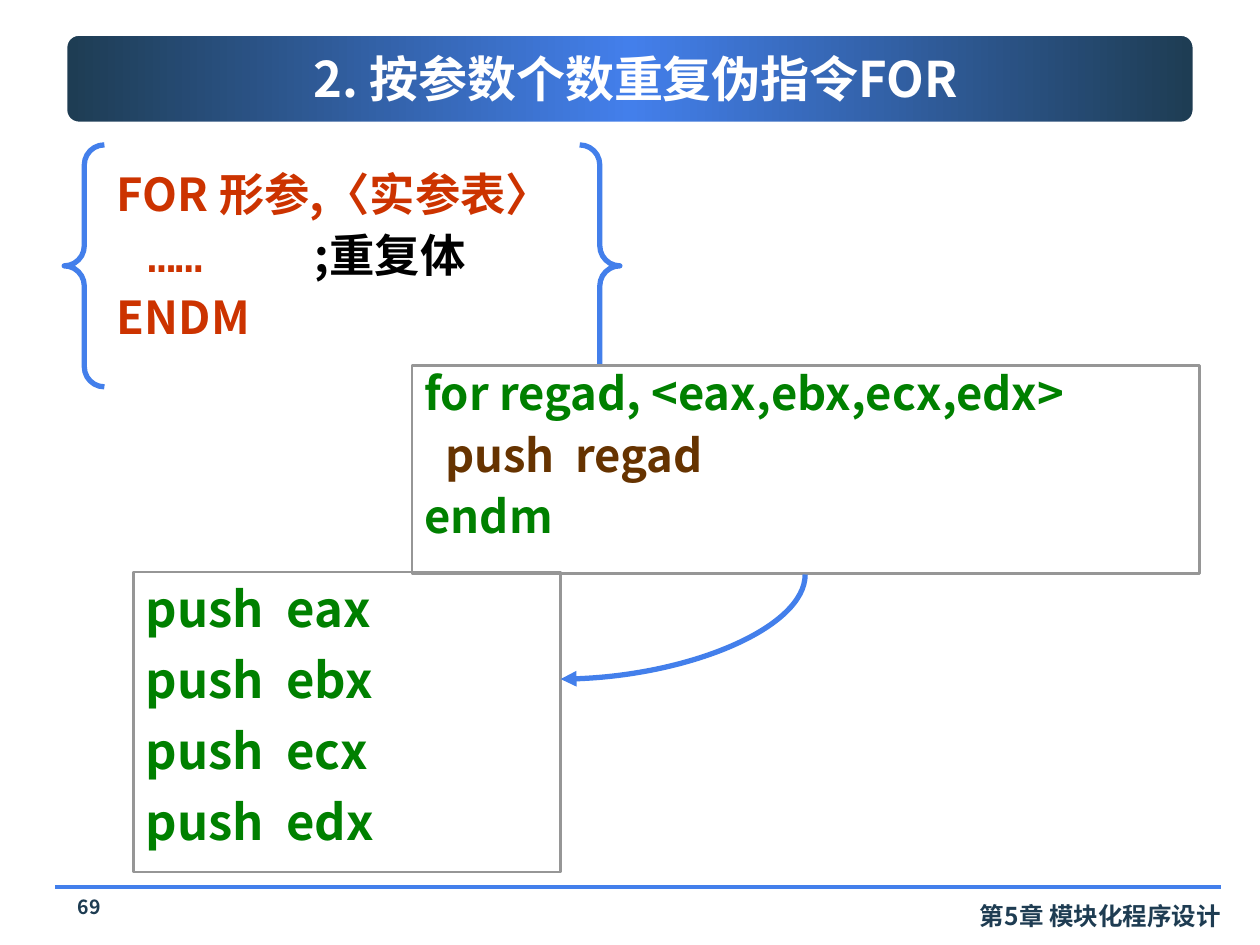
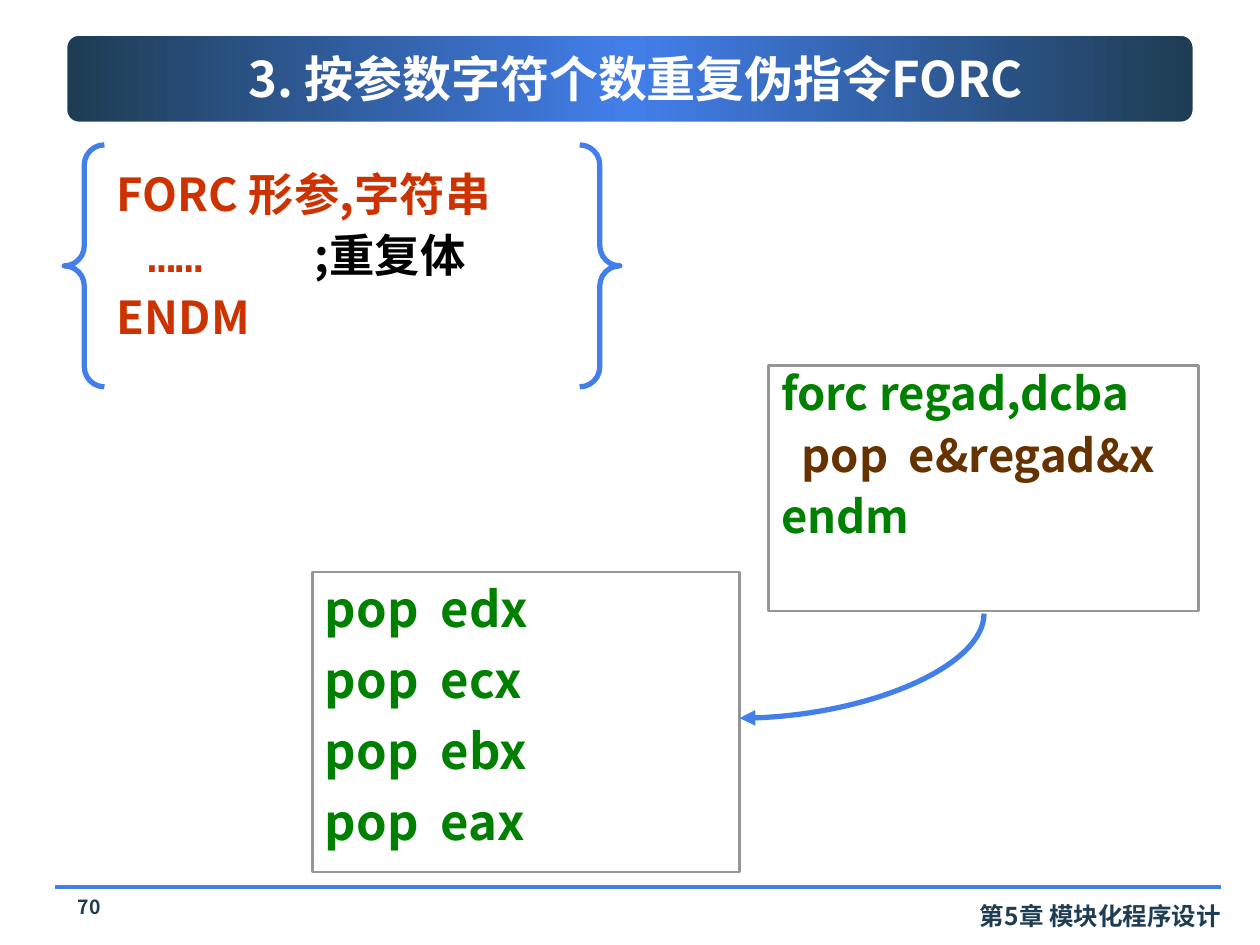
from copy import deepcopy
from lxml.etree import SubElement
from pptx import Presentation
from pptx.dml.color import RGBColor
from pptx.enum.shapes import MSO_CONNECTOR, MSO_SHAPE
from pptx.enum.text import MSO_ANCHOR, PP_ALIGN
from pptx.oxml.ns import qn
from pptx.util import Inches, Pt

HUES = {"navy": "1E3C52", "blue": "437FEB", "white": "FFFFFF", "red": "CC3300",
        "black": "000000", "green": "008000", "brown": "663300", "gray": "969696"}
INK = {name: RGBColor.from_string(code) for name, code in HUES.items()}
SANS, MONO = "Noto Sans CJK SC", "Courier New"
COLS, ROWS = 100, 75
CELL = Inches(0.1)
MID, RIGHT, FULL = PP_ALIGN.CENTER, PP_ALIGN.RIGHT, PP_ALIGN.JUSTIFY
TIGHT = {"line_spacing": 0.9, "alignment": FULL}
LOOSE = {"alignment": FULL}
CODE_TAB = 15.7


def grid(*cells):
    return [round(cell * CELL) for cell in cells]


def write(shape, lines, size, form, anchor=MSO_ANCHOR.TOP, tab=None):
    frame = shape.text_frame
    layout = {"word_wrap": True, "vertical_anchor": anchor}
    for key, value in layout.items():
        setattr(frame, key, value)
    for row, line in enumerate(lines):
        para = frame.add_paragraph() if row else frame.paragraphs[0]
        if tab:
            stops = SubElement(para._p.get_or_add_pPr(), qn("a:tabLst"))
            SubElement(stops, qn("a:tab"), pos=str(grid(tab)[0]), algn="l")
        for key, value in {**form, "space_before": Pt(7 if row else 0)}.items():
            setattr(para, key, value)
        for text, hue, face in line:
            run = para.add_run()
            run.text = text
            for key, value in {"size": Pt(size), "bold": True, "name": face}.items():
                setattr(run.font, key, value)
            run.font.color.rgb = INK[hue]
            SubElement(run._r.get_or_add_rPr(), qn("a:ea"), typeface=face)


TOPICS = [
    {"page": "69", "title": "2. 按参数个数重复伪指令FOR", "head": "FOR 形参,〈实参表〉",
     "loop": ["for regad, <eax,ebx,ecx,edx>", "  push  regad", "endm"],
     "verb": "push", "regs": ["eax", "ebx", "ecx", "edx"],
     "source": (32.7, 29, 62.5, 16.5), "left": 10.6, "start": (63.9, 45.6)},
    {"page": "70", "title": "3. 按参数字符个数重复伪指令FORC", "head": "FORC 形参,字符串",
     "loop": ["forc regad,dcba", "  pop  e&regad&x", "endm"],
     "verb": "pop", "regs": ["edx", "ecx", "ebx", "eax"],
     "source": (61, 29, 34.1, 19.5), "left": 24.8, "start": (78.1, 48.7)},
]

deck = Presentation()
deck.slide_width, deck.slide_height = grid(COLS, ROWS)

for topic in TOPICS:
    slide = deck.slides.add_slide(deck.slide_layouts[6])
    shapes = slide.shapes

    band = shapes.add_shape(MSO_SHAPE.ROUNDED_RECTANGLE, *grid(5, 2.5, 90, 7.5))
    band.shadow.inherit = False
    band.fill.gradient()
    band.fill.gradient_angle = 0
    stops = band._element.spPr.find(qn("a:gradFill")).find(qn("a:gsLst"))
    stops.append(deepcopy(stops[0]))
    for stop, hue, share in zip(band.fill.gradient_stops, ["navy", "blue", "navy"], [0, 0.5, 1]):
        stop.color.rgb = INK[hue]
        stop.position = share
    band.line.color.rgb = INK["white"]
    band.line.width = Pt(5)

    rule = shapes.add_connector(MSO_CONNECTOR.STRAIGHT, *grid(4.4, 70.4, 96.9, 70.4))

    labels = [
        ((74.2, 71, 23.7, 3.4), "第5章 模块化程序设计", 14, "navy", {"alignment": RIGHT}, MSO_ANCHOR.TOP),
        ((4.2, 70.8, 5.8, 3.3), topic["page"], 11.1, "navy",
         {**TIGHT, "alignment": MID}, MSO_ANCHOR.TOP),
        ((6.7, 2.8, 87.5, 6.7), topic["title"], 28, "white", {"alignment": MID}, MSO_ANCHOR.MIDDLE),
    ]
    for place, text, size, hue, form, anchor in labels:
        write(shapes.add_textbox(*grid(*place)), [[(text, hue, SANS)]], size, form, anchor)

    brace = shapes.add_shape(MSO_SHAPE.DOUBLE_BRACE, *grid(5.1, 11.5, 44.1, 19.2))
    brace.adjustments[0] = 0.083
    syntax = [
        [(topic["head"], "red", SANS)],
        [("   ", "red", SANS), ("……\t", "red", MONO), (";重复体", "black", SANS)],
        [("ENDM", "red", SANS)],
    ]
    write(shapes.add_textbox(*grid(8.3, 13.2, 39.9, 15.8)), syntax, 25.9, TIGHT, tab=CODE_TAB)

    source = shapes.add_shape(MSO_SHAPE.RECTANGLE, *grid(*topic["source"]))
    loop = [[(text, hue, SANS)] for text, hue in zip(topic["loop"], ["green", "brown", "green"])]
    write(source, loop, 25.9, TIGHT)

    result = shapes.add_shape(MSO_SHAPE.RECTANGLE, *grid(topic["left"], 45.4, 33.9, 23.8))
    calls = [[(f"{topic['verb']}  {reg}", "green", SANS)] for reg in topic["regs"]]
    write(result, calls, 28, LOOSE)

    for shape, hue, width in [(brace, "blue", 3), (source, "gray", 1.5), (result, "gray", 1.5)]:
        shape.shadow.inherit = False
        shape.fill.solid()
        shape.fill.fore_color.rgb = INK["white"]
        shape.line.color.rgb = INK[hue]
        shape.line.width = Pt(width)
    result.fill.background()

    x, y = topic["start"]
    wide, tall = 19.4, 8.3
    midx, midy = x - wide / 2, y + tall / 2
    arrow = shapes.add_connector(MSO_CONNECTOR.CURVE, *grid(
        midx - tall / 2, midy - wide / 2, midx + tall / 2, midy + wide / 2))
    props = arrow._element.spPr
    props.find(qn("a:xfrm")).set("rot", str(90 * 60000))
    props.find(qn("a:prstGeom")).set("prst", "curvedConnector2")

    for line, width in [(rule, 2), (arrow, 3)]:
        line.line.color.rgb = INK["blue"]
        line.line.width = Pt(width)
        SubElement(line._element.spPr, qn("a:effectLst"))
    SubElement(arrow.line._get_or_add_ln(), qn("a:tailEnd"), type="triangle")

deck.save("out.pptx")
